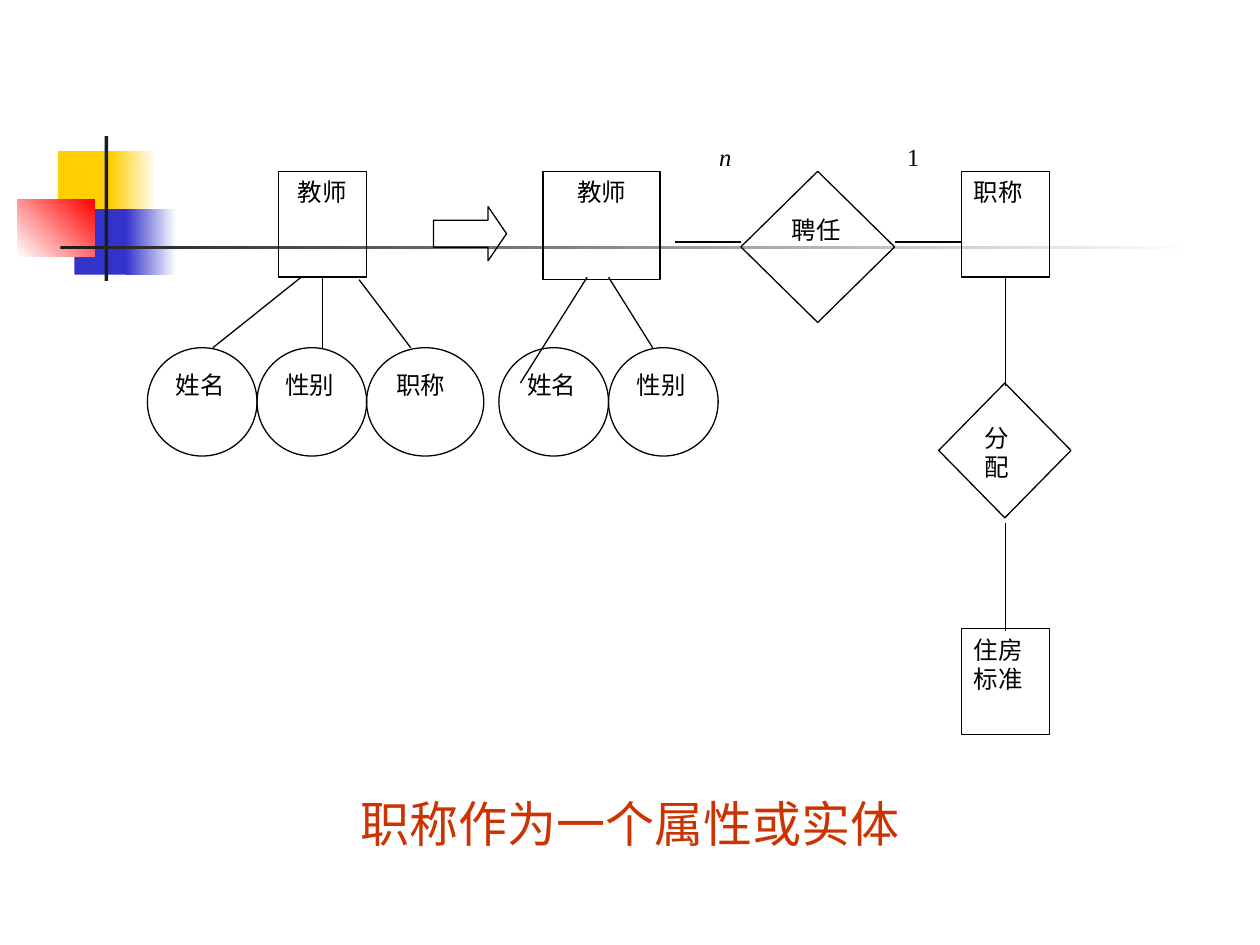
from lxml import etree
from pptx import Presentation
from pptx.dml.color import RGBColor
from pptx.enum.shapes import MSO_CONNECTOR, MSO_SHAPE as SHAPE
from pptx.enum.text import MSO_ANCHOR, MSO_AUTO_SIZE, PP_ALIGN as ALIGN
from pptx.oxml.ns import qn
from pptx.util import Inches, Pt

FONT = "Times New Roman"
COLORS = {
    "yellow": "FFCF01",
    "blue": "3333CC",
    "red": "FF0000",
    "dark": "1C1C1C",
    "white": "FFFFFF",
    "ink": "000000",
    "caption": "CC3300",
}


def rgb(name):
    return RGBColor.from_string(COLORS[name])


def write(frame, text, size, color, align, italic=False):
    frame.word_wrap = True
    frame.auto_size = MSO_AUTO_SIZE.NONE
    frame.vertical_anchor = MSO_ANCHOR.TOP
    frame.text = text
    for paragraph in frame.paragraphs:
        paragraph.alignment = align
        paragraph.font.name = FONT
        paragraph.font.size = Pt(size)
        paragraph.font.italic = italic
        paragraph.font.color.rgb = rgb(color)


prs = Presentation()
prs.slide_width, prs.slide_height = Inches(10), Inches(7.5)
slide = prs.slides.add_slide(prs.slide_layouts[5])
shapes = slide.shapes

caption = shapes.title
caption.left, caption.top = Inches(0.75), Inches(6.25)
caption.width, caption.height = Inches(8.5), Inches(0.58)
write(caption.text_frame, "职称作为一个属性或实体", 28, "caption", ALIGN.CENTER)

ornaments = [
    (0.46, 1.2, 0.48, 0.52, ["yellow"], 0),
    (0.88, 1.2, 0.36, 0.52, ["yellow", "white"], 0),
    (0.59, 1.66, 0.46, 0.52, ["blue"], 0),
    (1, 1.66, 0.4, 0.52, ["blue", "white"], 0),
    (0.14, 1.58, 0.61, 0.46, ["white", "red"], 45),
    (0.83, 1.08, 0.03, 1.15, ["dark"], 0),
    (0.48, 1.95, 9, 0.03, ["dark", "white"], 0),
]
for *box, tones, angle in ornaments:
    ornament = shapes.add_shape(SHAPE.RECTANGLE, *map(Inches, box))
    ornament.shadow.inherit = False
    ornament.line.fill.background()
    if len(tones) == 1:
        ornament.fill.solid()
        ornament.fill.fore_color.rgb = rgb(tones[0])
    else:
        ornament.fill.gradient()
        ornament.fill.gradient_angle = angle
        for stop, tone in zip(ornament.fill.gradient_stops, tones):
            stop.color.rgb = rgb(tone)

entities = [
    (SHAPE.RECTANGLE, 2.21, 1.36, 0.7, 0.84, "教师", ALIGN.CENTER),
    (SHAPE.RECTANGLE, 4.31, 1.36, 0.93, 0.86, "教师", ALIGN.CENTER),
    (SHAPE.RECTANGLE, 7.63, 1.36, 0.7, 0.84, "职称", ALIGN.JUSTIFY),
    (SHAPE.RECTANGLE, 7.63, 4.99, 0.7, 0.84, "住房\n标准", ALIGN.JUSTIFY),
]
relationships = [
    (SHAPE.DIAMOND, 5.88, 1.36, 1.22, 1.2, "聘任", ALIGN.JUSTIFY),
    (SHAPE.DIAMOND, 7.45, 3.04, 1.05, 1.07, "分配", ALIGN.JUSTIFY),
]
attributes = [
    (SHAPE.OVAL, left, 2.76, width, 0.86, text, ALIGN.JUSTIFY)
    for left, width, text in [
        (1.17, 0.87, "姓名"),
        (2.04, 0.87, "性别"),
        (2.91, 0.93, "职称"),
        (3.96, 0.87, "姓名"),
        (4.83, 0.87, "性别"),
    ]
]
transition = (SHAPE.RIGHT_ARROW, 3.44, 1.64, 0.58, 0.43, "", ALIGN.CENTER)
for kind, *box, text, align in [*entities, *relationships, *attributes, transition]:
    node = shapes.add_shape(kind, *map(Inches, box))
    node.shadow.inherit = False
    node.fill.background()
    node.line.color.rgb = rgb("ink")
    node.line.width = Pt(0.75)
    if text:
        write(node.text_frame, text, 14, "ink", align)
    else:
        node.adjustments[1] = 0.34

links = [
    (2.39, 2.2, 1.69, 2.76),
    (2.56, 2.2, 2.56, 2.76),
    (2.85, 2.22, 3.26, 2.76),
    (4.66, 2.2, 4.13, 3.04),
    (4.83, 2.2, 5.18, 2.76),
    (5.36, 1.92, 5.88, 1.92),
    (7.1, 1.92, 7.63, 1.92),
    (7.98, 2.2, 7.98, 3.06),
    (7.98, 4.15, 7.98, 5.01),
]
for ends in links:
    link = shapes.add_connector(MSO_CONNECTOR.STRAIGHT, *map(Inches, ends))
    link.line.color.rgb = rgb("ink")
    link.line.width = Pt(0.75)
    etree.SubElement(link._element.spPr, qn("a:effectLst"))

for left, width, text, italic in [(5.61, 0.47, "n", True), (7.1, 0.58, "1", False)]:
    cardinality = shapes.add_textbox(Inches(left), Inches(1.08), Inches(width), Inches(0.64))
    write(cardinality.text_frame, text, 14, "ink", ALIGN.JUSTIFY, italic)

prs.save("out.pptx")
